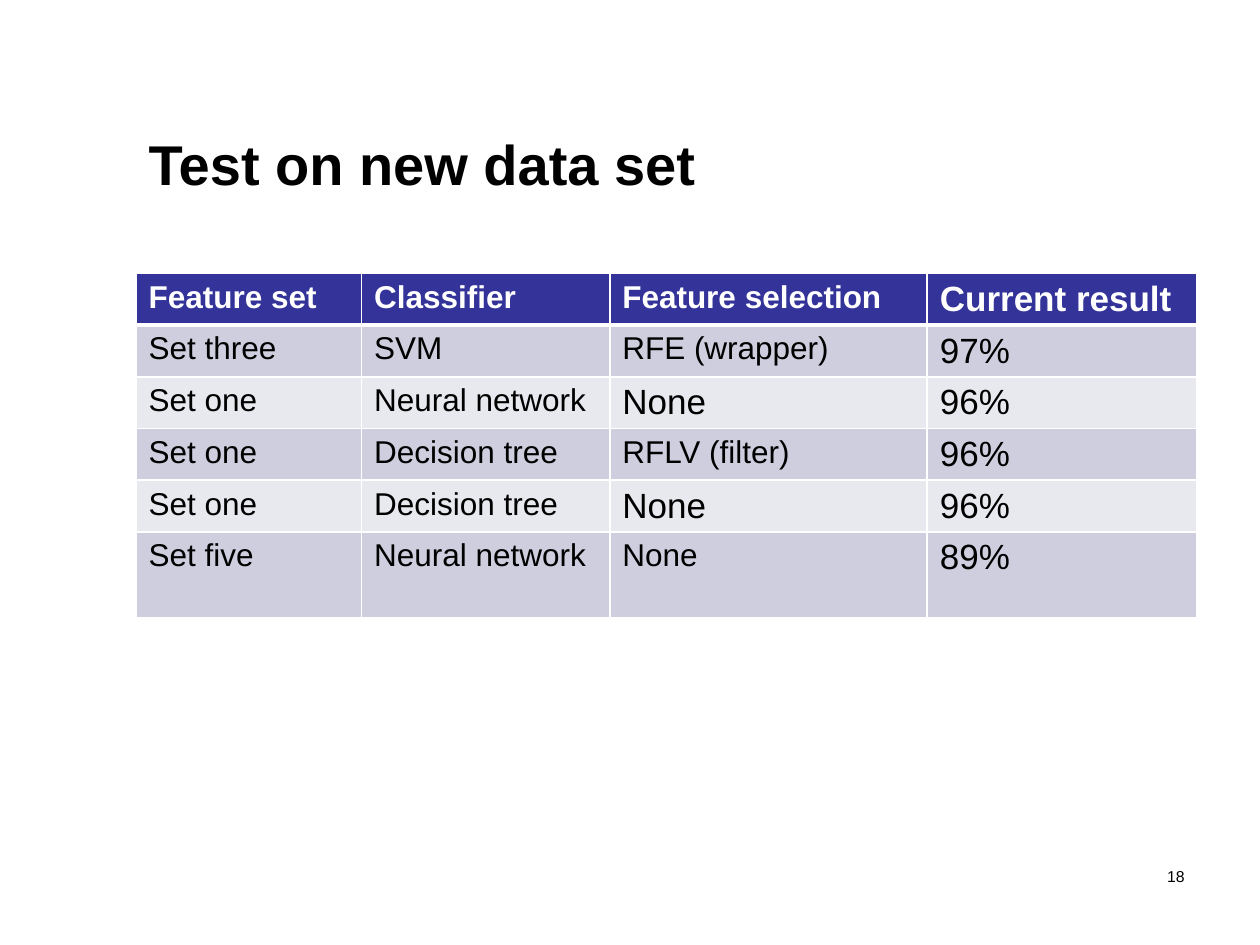
"""Build a slide with a table of test results on a new data set."""
from typing import NamedTuple

from lxml.etree import SubElement
from pptx import Presentation
from pptx.dml.color import RGBColor
from pptx.enum.text import MSO_ANCHOR as Anchor, PP_ALIGN as Align
from pptx.oxml.ns import qn
from pptx.util import Inches, Pt


class Row(NamedTuple):
    cells: tuple[str, ...]
    fill: str
    high: float = 0.41
    large: tuple[int, ...] = (3,)


DARK, LIGHT = "CECEDE", "E8E8EF"
WIDTHS = (1.79, 1.97, 2.52, 2.14)
HEAD = {"color": "FFFFFF", "bold": True}
ROWS = (
    Row(("Feature set", "Classifier", "Feature selection", "Current result"), "333399"),
    Row(("Set three", "SVM", "RFE (wrapper)", "97%"), DARK),
    Row(("Set one", "Neural network", "None", "96%"), LIGHT, large=(2, 3)),
    Row(("Set one", "Decision tree", "RFLV (filter)", "96%"), DARK),
    Row(("Set one", "Decision tree", "None", "96%"), LIGHT, large=(2, 3)),
    Row(("Set five", "Neural network", "None", "89%"), DARK, high=0.68),
)


def paint(target, color: str) -> None:
    """Give a solid fill one colour."""
    target.solid()
    target.fore_color.rgb = RGBColor.from_string(color)


def write(frame, text: str, size: int, color: str = "000000", bold: bool = False,
          align=Align.LEFT) -> None:
    """Put one formatted line of text in a frame."""
    frame.text = text
    line = frame.paragraphs[0]
    line.alignment = align
    font = line.runs[0].font
    for name, value in {"name": "Arial", "size": Pt(size), "bold": bold}.items():
        setattr(font, name, value)
    paint(font.fill, color)


def edge(cell, top: int, base: int) -> None:
    """Draw white borders round a cell."""
    props = cell._tc.get_or_add_tcPr()
    for side, width in {"L": 1, "R": 1, "T": top, "B": base}.items():
        line = SubElement(props, qn(f"a:ln{side}"), w=str(Pt(width)))
        SubElement(SubElement(line, qn("a:solidFill")), qn("a:srgbClr"), val="FFFFFF")


def tabulate(slide) -> None:
    """Add the table of results."""
    table = slide.shapes.add_table(
        len(ROWS), len(WIDTHS), Inches(1.08), Inches(2.17),
        Inches(sum(WIDTHS)), Inches(sum(row.high for row in ROWS))).table
    for col, width in zip(table.columns, WIDTHS):
        col.width = Inches(width)
    for i, row in enumerate(ROWS):
        table.rows[i].height = Inches(row.high)
        for j, text in enumerate(row.cells):
            cell = table.cell(i, j)
            edge(cell, 3 if i == 1 else 1, 3 if i == 0 else 1)
            paint(cell.fill, row.fill)
            style = HEAD if i == 0 else {}
            write(cell.text_frame, text, 20 if j in row.large else 18, **style)


def main() -> None:
    """Build and save the slide."""
    deck = Presentation()
    deck.slide_width, deck.slide_height = Inches(10), Inches(7.5)
    slide = deck.slides.add_slide(deck.slide_layouts[5])

    title = slide.shapes.title
    box = {"left": 1.08, "top": 0.92, "width": 8.42, "height": 1.25}
    for name, value in box.items():
        setattr(title, name, Inches(value))
    frame = title.text_frame
    frame.vertical_anchor = Anchor.MIDDLE
    frame.margin_bottom = Inches(0.55)
    write(frame, "Test on new data set", 32, bold=True)

    tabulate(slide)

    page = slide.shapes.add_textbox(
        Inches(8.75), Inches(6.83), Inches(0.75), Inches(0.5)).text_frame
    page.word_wrap = True
    write(page, "18", 9, align=Align.RIGHT)
    deck.save("out.pptx")


if __name__ == "__main__":
    main()
